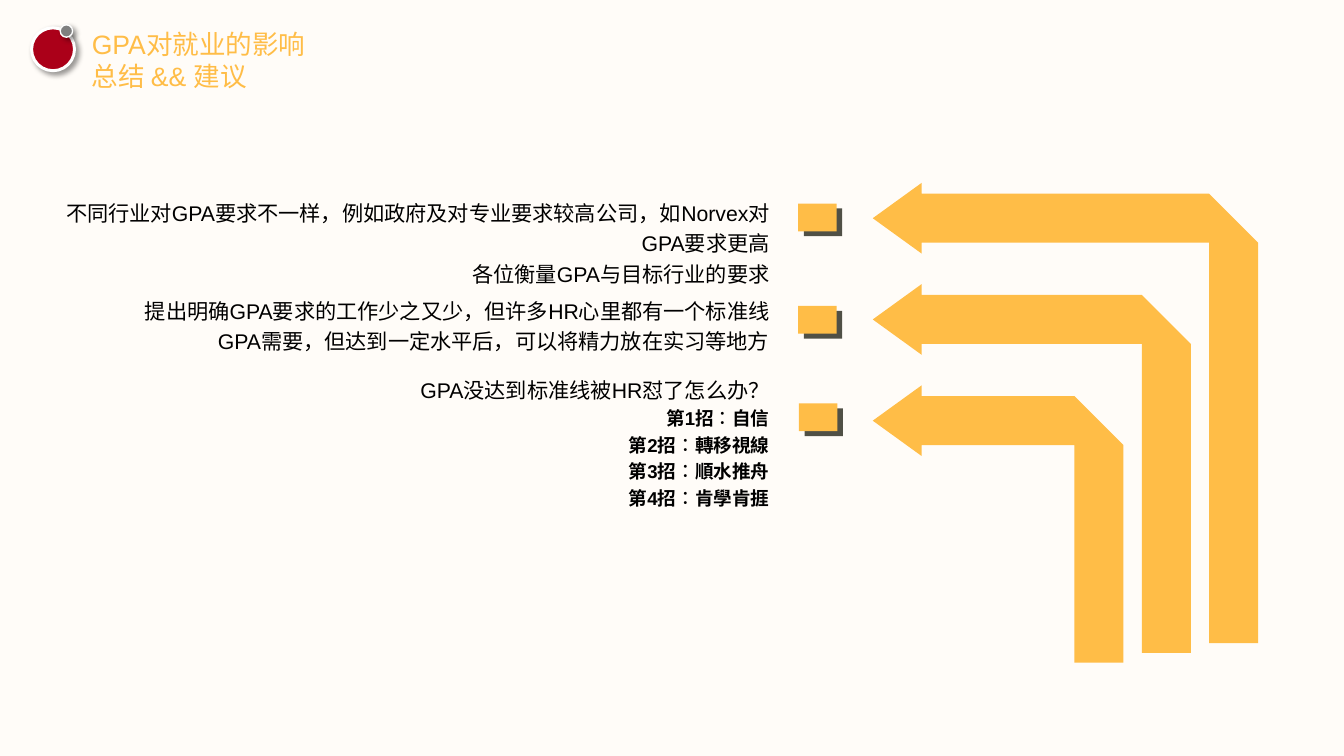
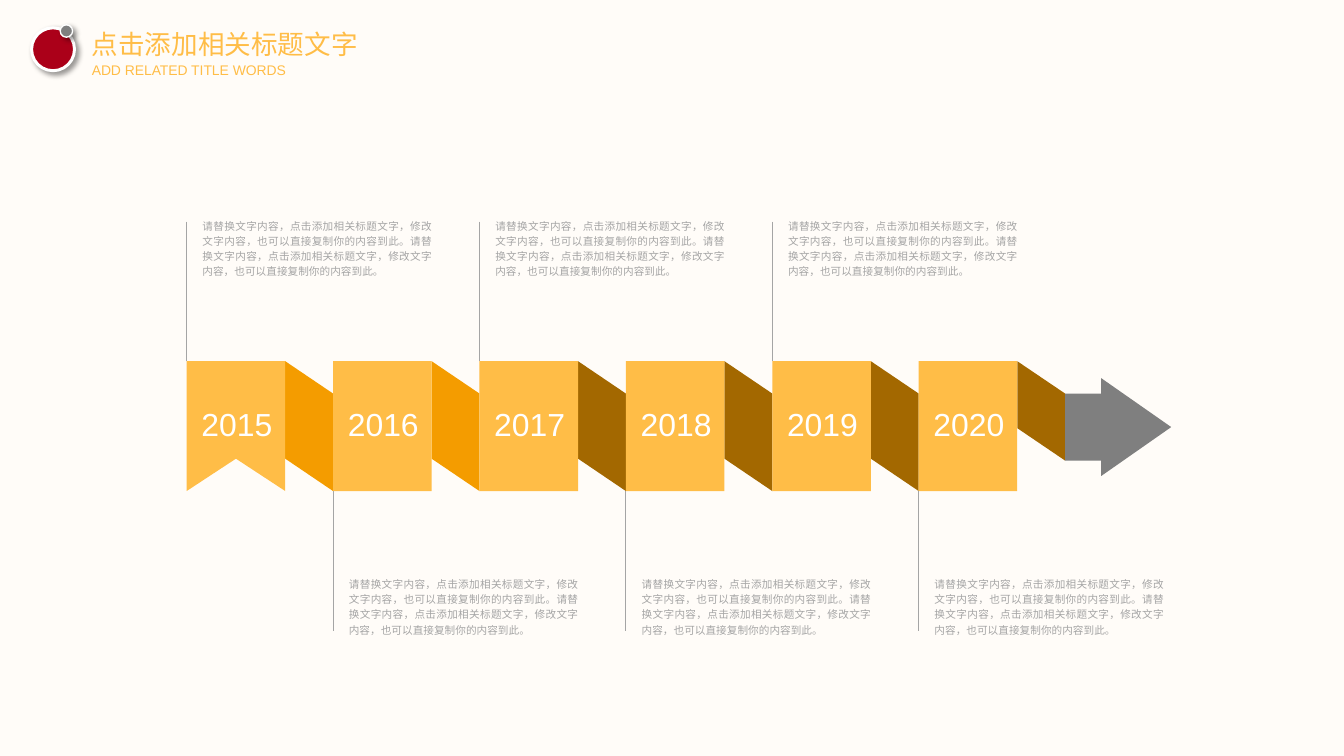
from lxml import etree
from pptx import Presentation
from pptx.dml.color import RGBColor
from pptx.enum.shapes import MSO_CONNECTOR, MSO_SHAPE
from pptx.enum.text import MSO_ANCHOR, PP_ALIGN
from pptx.oxml.ns import qn
from pptx.util import Cm, Pt

RECTANGLE, OVAL = MSO_SHAPE.RECTANGLE, MSO_SHAPE.OVAL
STRAIGHT = MSO_CONNECTOR.STRAIGHT
TOP, MIDDLE = MSO_ANCHOR.TOP, MSO_ANCHOR.MIDDLE
LEFT, RIGHT, CENTER, JUSTIFY = PP_ALIGN.LEFT, PP_ALIGN.RIGHT, PP_ALIGN.CENTER, PP_ALIGN.JUSTIFY

CREAM = RGBColor(0xFF, 0xFC, 0xF8)
AMBER = RGBColor(0xFF, 0xBD, 0x47)
ORANGE = RGBColor(0xF4, 0x9C, 0x00)
BROWN = RGBColor(0xA3, 0x68, 0x00)
RED = RGBColor(0xAB, 0x00, 0x19)
GRAY = RGBColor(0x7F, 0x7F, 0x7F)
LIGHT_GRAY = RGBColor(0xA5, 0xA5, 0xA5)
DARK = RGBColor(0x50, 0x50, 0x46)
BLACK = RGBColor(0, 0, 0)
WHITE = RGBColor(0xFF, 0xFF, 0xFF)
FONT = "Arial"

SUMMARY_HEADER = [(0.74, 20, ["GPA对就业的影响", "总结 && 建议"])]
TIMELINE_HEADER = [
    (0.74, 20, ["点击添加相关标题文字"]),
    (1.63, 10.5, ["ADD RELATED TITLE WORDS"]),
]

ADVICE = [
    {"left": 0.84, "top": 5.05, "marker": (21.21, 5.41), "tactics": [],
     "lines": ["不同行业对GPA要求不一样，例如政府及对专业要求较高公司，如Norvex对GPA要求更高",
               "各位衡量GPA与目标行业的要求"]},
    {"left": 2.84, "top": 7.65, "marker": (21.21, 8.13), "tactics": [],
     "lines": ["提出明确GPA要求的工作少之又少，但许多HR心里都有一个标准线",
               "GPA需要，但达到一定水平后，可以将精力放在实习等地方"]},
    {"left": 2.84, "top": 9.75, "marker": (21.23, 10.72),
     "lines": ["GPA没达到标准线被HR怼了怎么办？"],
     "tactics": ["第1招︰自信", "第2招︰轉移視線", "第3招︰順水推舟", "第4招︰肯學肯捱"]},
]
ADVICE_RIGHT = 20.7

YEARS = ["2015", "2016", "2017", "2018", "2019", "2020"]
FOLD_COLORS = [ORANGE, ORANGE, BROWN, BROWN, BROWN, BROWN]
CAPTION = "请替换文字内容，点击添加相关标题文字，修改文字内容，也可以直接复制你的内容到此。" * 2


def paint(shape, color):
    shape.shadow.inherit = False
    shape.fill.solid()
    shape.fill.fore_color.rgb = color
    shape.line.fill.background()


def add_block(slide, kind, left, top, width, height, color):
    shape = slide.shapes.add_shape(kind, Cm(left), Cm(top), Cm(width), Cm(height))
    paint(shape, color)
    return shape


def add_outline(slide, points, color):
    corners = [(Cm(x), Cm(y)) for x, y in points]
    builder = slide.shapes.build_freeform(*corners[0], scale=1.0)
    builder.add_line_segments(corners[1:], close=True)
    paint(builder.convert_to_shape(), color)


def add_text(slide, left, top, width, height, lines, color, align=LEFT,
             spacing=None, anchor=TOP, inset=(0, 0)):
    box = slide.shapes.add_textbox(Cm(left), Cm(top), Cm(width), Cm(height))
    frame = box.text_frame
    frame.word_wrap = True
    frame.vertical_anchor = anchor
    frame.margin_left = frame.margin_right = Cm(inset[0])
    frame.margin_top = frame.margin_bottom = Cm(inset[1])
    for index, (text, size, bold) in enumerate(lines):
        paragraph = frame.add_paragraph() if index else frame.paragraphs[0]
        paragraph.text = text
        paragraph.alignment = align
        paragraph.line_spacing = spacing
        paragraph.font.name = FONT
        paragraph.font.size = Pt(size)
        paragraph.font.bold = bold
        paragraph.font.color.rgb = color


def add_badge_circle(slide, left, top, diameter, color, border):
    circle = add_block(slide, OVAL, left, top, diameter, diameter, color)
    circle.line.color.rgb = WHITE
    circle.line.width = Pt(border)
    effects = circle._element.spPr.find(qn("a:effectLst"))
    shadow = etree.SubElement(effects, qn("a:outerShdw"), blurRad=str(Pt(4)),
                              dist=str(Pt(3)), dir="2700000", algn="tl", rotWithShape="0")
    shade = etree.SubElement(shadow, qn("a:srgbClr"), val="000000")
    etree.SubElement(shade, qn("a:alpha"), val="40000")


def add_header(slide, header):
    for top, size, lines in header:
        add_text(slide, 2.44, top, 10.62, size * 0.043,
                 [(line, size, False) for line in lines], AMBER)
    add_badge_circle(slide, 0.84, 0.74, 1.14, RED, 2.25)
    add_badge_circle(slide, 1.6, 0.66, 0.33, GRAY, 1)


def add_bent_arrow(slide, order):
    band, head_half, tip = 1.3, 0.94, 23.19
    middle = 5.8 + 2.69 * order
    right = 33.43 - 1.79 * order
    bottom = 17.09 + 0.26 * order
    neck, inner = tip + band, right - band
    upper, lower = middle - band / 2, middle + band / 2
    add_outline(slide, [
        (tip, middle), (neck, middle - head_half), (neck, upper), (inner, upper),
        (right, lower), (right, bottom), (inner, bottom), (inner, lower),
        (neck, lower), (neck, middle + head_half)], AMBER)


def add_leader(slide, x, start, end):
    leader = slide.shapes.add_connector(STRAIGHT, Cm(x), Cm(start), Cm(x), Cm(end))
    leader.line.color.rgb = LIGHT_GRAY
    leader.line.width = Pt(0.75)
    etree.SubElement(leader._element.spPr, qn("a:effectLst"))


def build_summary(slide):
    for order, advice in enumerate(ADVICE):
        add_bent_arrow(slide, order)
        left, top = advice["marker"]
        add_block(slide, RECTANGLE, left + 0.15, top + 0.13, 1.02, 0.74, DARK)
        add_block(slide, RECTANGLE, left, top, 1.02, 0.74, AMBER)
        lines = [(line, 16, False) for line in advice["lines"]]
        lines += [(tactic, 14, True) for tactic in advice["tactics"]]
        add_text(slide, advice["left"], advice["top"], ADVICE_RIGHT - advice["left"], 1.73,
                 lines, BLACK, RIGHT, 1.2, inset=(0.25, 0.13))
    add_header(slide, SUMMARY_HEADER)


def build_timeline(slide):
    start, pitch, width = 4.96, 3.89, 2.62
    top, height, drop, band = 9.6, 3.45, 0.86, 1.78
    bottom = top + height
    for index, (year, fold_color) in enumerate(zip(YEARS, FOLD_COLORS)):
        left = start + pitch * index
        right, following = left + width, left + pitch
        fold = band if index == len(YEARS) - 1 else height - drop
        add_outline(slide, [(right, top), (following, top + drop),
                            (following, top + drop + fold), (right, top + fold)], fold_color)
        if index:
            add_block(slide, RECTANGLE, left, top, width, height, AMBER)
        else:
            add_outline(slide, [(left, top), (right, top), (right, bottom),
                                (left + width / 2, bottom - drop), (left, bottom)], AMBER)
        add_text(slide, left - 0.29, 10.01, 3.25, 2.29, [(year, 24, False)], WHITE,
                 CENTER, 1.2, MIDDLE, (0.25, 0.13))
        if index % 2:
            caption_top, leader = 15.29, (bottom, 16.76)
        else:
            caption_top, leader = 5.77, (5.89, top)
        add_text(slide, left + 0.42, caption_top, 6.1, 1.65, [(CAPTION, 8, False)],
                 LIGHT_GRAY, JUSTIFY, 1.2)
        add_leader(slide, left, *leader)

    tail = start + pitch * len(YEARS)
    neck, tip, head_half = tail + 0.96, tail + 2.82, 1.3
    upper, lower = top + drop, top + drop + band
    middle = (upper + lower) / 2
    add_outline(slide, [(tail, upper), (neck, upper), (neck, middle - head_half),
                        (tip, middle), (neck, middle + head_half),
                        (neck, lower), (tail, lower)], GRAY)
    add_header(slide, TIMELINE_HEADER)


def main():
    presentation = Presentation()
    presentation.slide_width = Cm(35.71)
    presentation.slide_height = Cm(20.09)
    background = presentation.slide_master.background.fill
    background.solid()
    background.fore_color.rgb = CREAM
    blank = presentation.slide_layouts[6]
    for build in (build_summary, build_timeline):
        build(presentation.slides.add_slide(blank))
    presentation.save("out.pptx")


if __name__ == "__main__":
    main()
